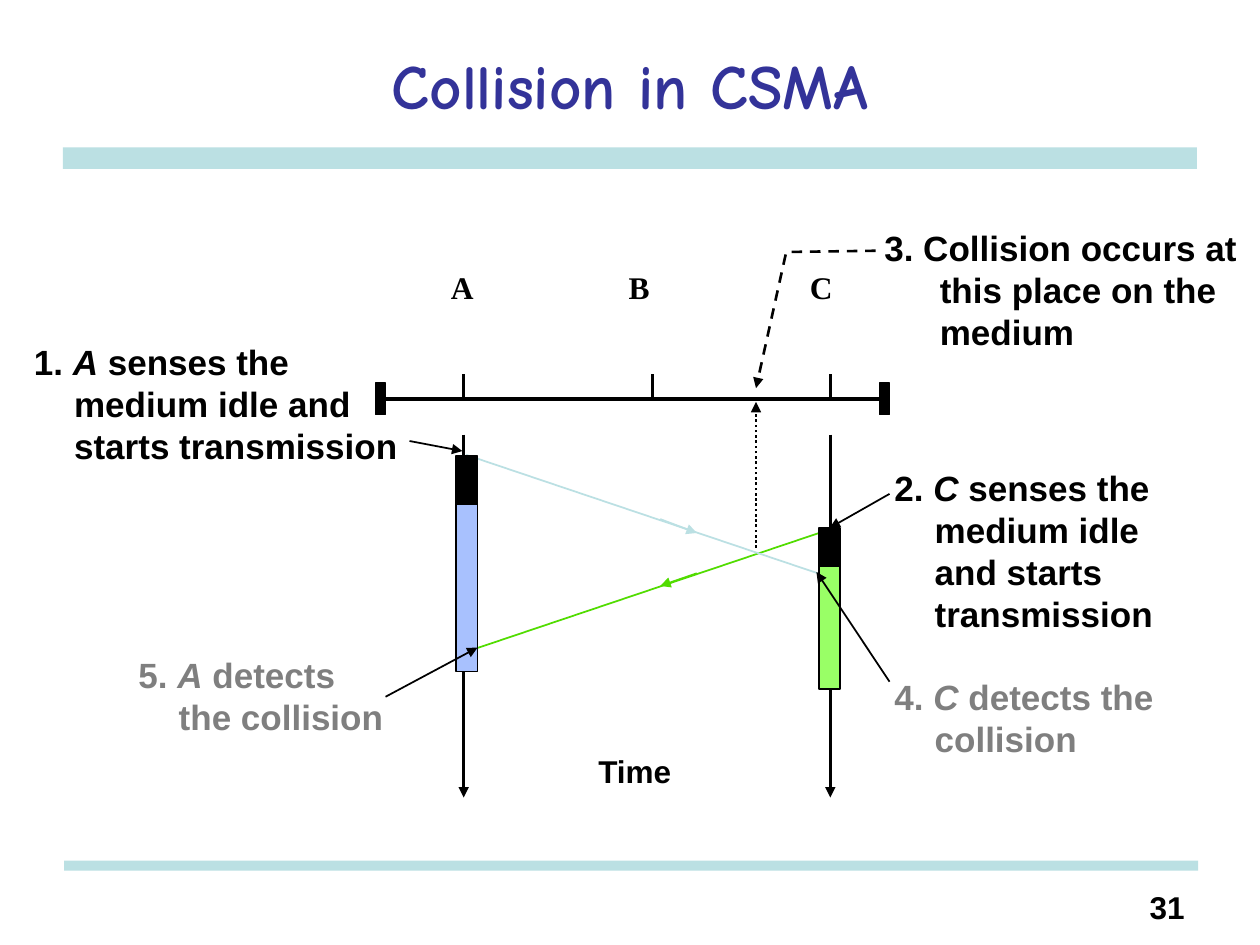
from lxml import etree
from pptx import Presentation
from pptx.dml.color import RGBColor
from pptx.enum.dml import MSO_LINE
from pptx.enum.shapes import MSO_CONNECTOR, MSO_SHAPE
from pptx.enum.text import MSO_ANCHOR, PP_ALIGN
from pptx.oxml.ns import qn
from pptx.util import Inches, Pt

BLACK = RGBColor(0x00, 0x00, 0x00)
GRAY = RGBColor(0x7F, 0x7F, 0x7F)
NAVY = RGBColor(0x33, 0x33, 0x99)
TEAL = RGBColor(0xBB, 0xE0, 0xE3)
BLUE = RGBColor(0xA8, 0xC1, 0xFE)
GREEN = RGBColor(0x99, 0xFF, 0x66)
DARK_GREEN = RGBColor(0x51, 0xDC, 0x00)

RECTANGLE = MSO_SHAPE.RECTANGLE
STRAIGHT = MSO_CONNECTOR.STRAIGHT
LEFT, CENTER, RIGHT = PP_ALIGN.LEFT, PP_ALIGN.CENTER, PP_ALIGN.RIGHT
TOP, MIDDLE = MSO_ANCHOR.TOP, MSO_ANCHOR.MIDDLE
DASH, DOT = MSO_LINE.DASH, MSO_LINE.ROUND_DOT
TOP_SIDE, LEFT_SIDE, RIGHT_SIDE = 0, 1, 3

COLUMNS, ROWS = 10, 7.5
STATION_A, STATION_B, STATION_C = 3.68, 5.18, 6.59
MEDIUM_ROW = 3.17
BAR_WIDTH = 0.17
BAR_A, BAR_C = 3.62, 6.5


def write_text(text_frame, text, font="Arial", size=20, color=BLACK,
               align=LEFT, anchor=TOP, hanging=0):
    """Write one bold paragraph; parts between asterisks are italic."""
    text_frame.word_wrap = True
    text_frame.vertical_anchor = anchor
    paragraph = text_frame.paragraphs[0]
    paragraph.alignment = align
    if hanging:
        properties = paragraph._p.get_or_add_pPr()
        properties.set("marL", str(hanging))
        properties.set("indent", str(-hanging))
    for index, part in enumerate(text.split("*")):
        run = paragraph.add_run()
        run.text = part
        run.font.name, run.font.size, run.font.bold = font, Pt(size), True
        run.font.italic = index % 2 == 1
        run.font.color.rgb = color


class Diagram:
    """The current slide, measured on a grid of columns and rows."""

    def __init__(self, presentation):
        self.slide = presentation.slides.add_slide(presentation.slide_layouts[6])
        self.shapes = self.slide.shapes
        self.column = presentation.slide_width / COLUMNS
        self.row = presentation.slide_height / ROWS

    def point(self, column, row):
        return round(column * self.column), round(row * self.row)

    def text(self, left, top, width, height, text, hanging=0, **style):
        box = self.shapes.add_textbox(*self.point(left, top), *self.point(width, height))
        write_text(box.text_frame, text, hanging=round(hanging * self.column), **style)

    def rectangle(self, left, top, width, height, fill, outline=BLACK):
        shape = self.shapes.add_shape(
            RECTANGLE, *self.point(left, top), *self.point(width, height))
        shape.shadow.inherit = False
        shape.fill.solid()
        shape.fill.fore_color.rgb = fill
        if outline is None:
            shape.line.fill.background()
        else:
            shape.line.color.rgb = outline
            shape.line.width = Pt(1)
        return shape

    def style_line(self, shape, color, width, dash, arrow):
        shape.line.color.rgb = color
        shape.line.width = Pt(width)
        if dash is not None:
            shape.line.dash_style = dash
        if arrow:
            line = shape.line._get_or_add_ln()
            etree.SubElement(line, qn("a:tailEnd"), type="triangle")

    def line(self, start, end, color=BLACK, width=1, dash=None, arrow=False):
        connector = self.shapes.add_connector(
            STRAIGHT, *self.point(*start), *self.point(*end))
        self.style_line(connector, color, width, dash, arrow)
        etree.SubElement(connector._element.spPr, qn("a:effectLst"))
        return connector

    def bent_arrow(self, points, width, dash):
        start, *others = [self.point(*point) for point in points]
        builder = self.shapes.build_freeform(*start, scale=1.0)
        builder.add_line_segments(others, close=False)
        shape = builder.convert_to_shape()
        shape.shadow.inherit = False
        shape.fill.background()
        self.style_line(shape, BLACK, width, dash, True)


def main():
    presentation = Presentation()
    presentation.slide_width, presentation.slide_height = Inches(10), Inches(7.5)
    diagram = Diagram(presentation)

    # Title, rules and page number
    diagram.rectangle(0.5, 1.17, 9, 0.17, TEAL, outline=None)
    diagram.rectangle(0.51, 6.83, 9, 0.08, TEAL, outline=None)
    diagram.text(0.5, 0.17, 9, 1, "Collision in CSMA", font="Comic Neue", size=36,
                 color=NAVY, align=CENTER, anchor=MIDDLE)
    diagram.text(8.83, 7, 0.67, 0.42, "31", size=18, align=RIGHT)

    # Signal from C, with its direction
    diagram.line((STATION_C, 4.2), (3.71, 5.17), DARK_GREEN)
    diagram.line((5.53, 4.55), (5.24, 4.65), DARK_GREEN, arrow=True)

    # Time axes of A and C
    for station in (STATION_A, STATION_C):
        diagram.line((station, 3.45), (station, 6.33), width=2, arrow=True)

    # Signal from A, with its direction
    diagram.line((3.7, 3.61), (6.58, 4.58), TEAL)
    diagram.line((5.24, 4.12), (5.53, 4.23), TEAL, arrow=True)

    # Transmission bars
    diagram.rectangle(BAR_A, 3.74, BAR_WIDTH, 1.59, BLUE)
    diagram.rectangle(BAR_A, 3.62, BAR_WIDTH, 0.38, BLACK)
    diagram.rectangle(BAR_C, 4.2, BAR_WIDTH, 1.27, GREEN)
    start_of_c = diagram.rectangle(BAR_C, 4.19, BAR_WIDTH, 0.3, BLACK)

    # Shared medium between two terminators
    left_end, right_end = [
        diagram.rectangle(left, 3.04, 0.08, 0.25, BLACK) for left in (2.98, 6.98)]
    medium = diagram.line((3.06, MEDIUM_ROW), (6.98, MEDIUM_ROW), width=2)
    medium.begin_connect(left_end, RIGHT_SIDE)
    medium.end_connect(right_end, LEFT_SIDE)

    # Stations
    for name, station, label_left in (("A", STATION_A, 3.48), ("B", STATION_B, 4.89),
                                      ("C", STATION_C, 6.33)):
        diagram.line((station, 2.97), (station, MEDIUM_ROW), width=2)
        diagram.text(label_left, 2.08, 0.44, 0.5, name, font="Times New Roman", size=18)

    # Numbered steps
    steps = (
        (0.17, 2.65, 3.17, 1.1, "1. *A* senses the medium idle and starts transmission",
         0.32, BLACK),
        (7, 3.65, 2.5, 1.43, "2. *C* senses the medium idle and starts transmission",
         0.32, BLACK),
        (6.92, 1.75, 3.02, 1.1, "3. Collision occurs at this place on the medium",
         0.44, BLACK),
        (7, 5.31, 2.5, 0.77, "4. *C* detects the collision", 0.32, GRAY),
        (1, 5.14, 2.25, 0.77, "5. *A* detects the collision", 0.32, GRAY),
    )
    for left, top, width, height, text, hanging, color in steps:
        diagram.text(left, top, width, height, text, hanging=hanging, color=color)
    diagram.text(4.65, 5.92, 1.19, 0.5, "Time", size=18)

    # Pointers from the steps to the events
    diagram.line((3.25, 3.5), (3.67, 3.58), arrow=True)
    pointer = diagram.line((7.06, 3.92), (6.58, 4.19), arrow=True)
    pointer.end_connect(start_of_c, TOP_SIDE)
    diagram.line((7.06, 5.41), (6.48, 4.54), arrow=True)
    diagram.line((3.06, 5.53), (3.79, 5.14), arrow=True)

    # Place of the collision
    diagram.line((6, 4.35), (6, 3.19), width=1.5, dash=DOT, arrow=True)
    diagram.bent_arrow([(6.95, 1.99), (6.24, 2), (6, 3.08)], 1.5, DASH)

    presentation.save("out.pptx")


if __name__ == "__main__":
    main()
